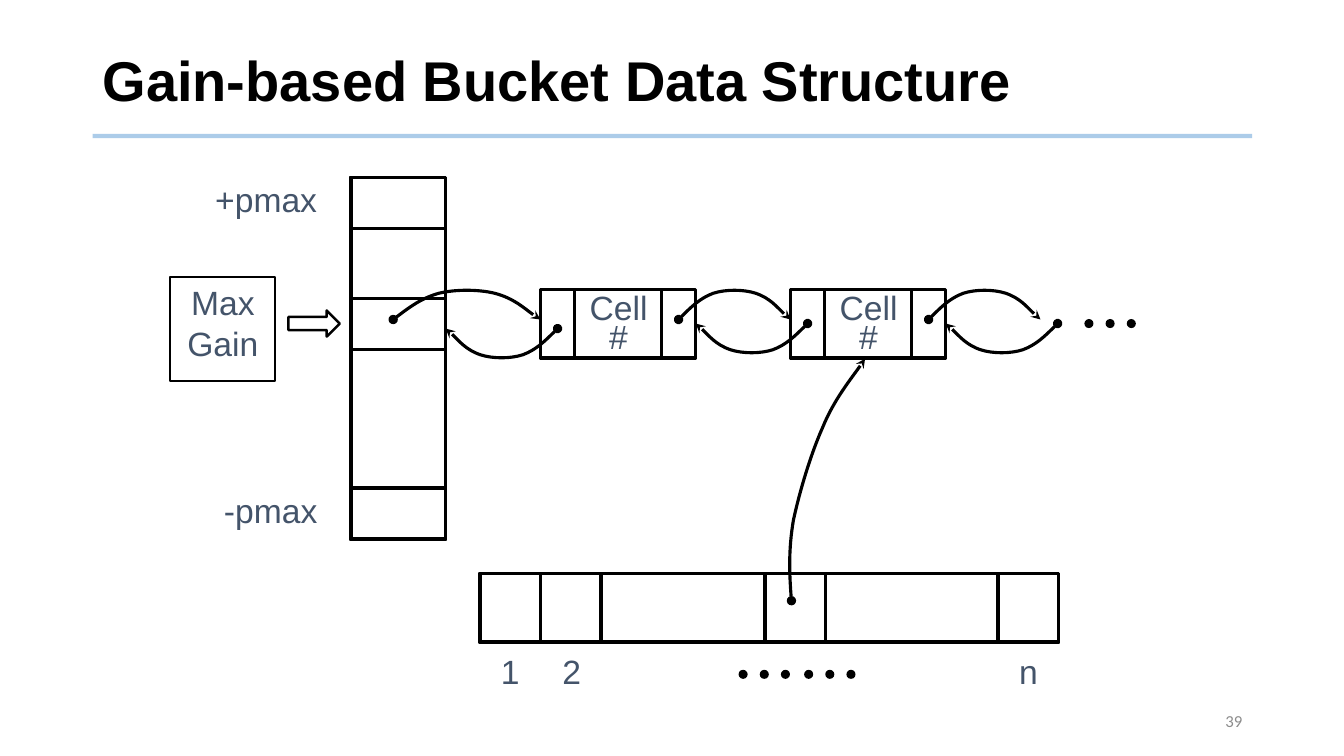
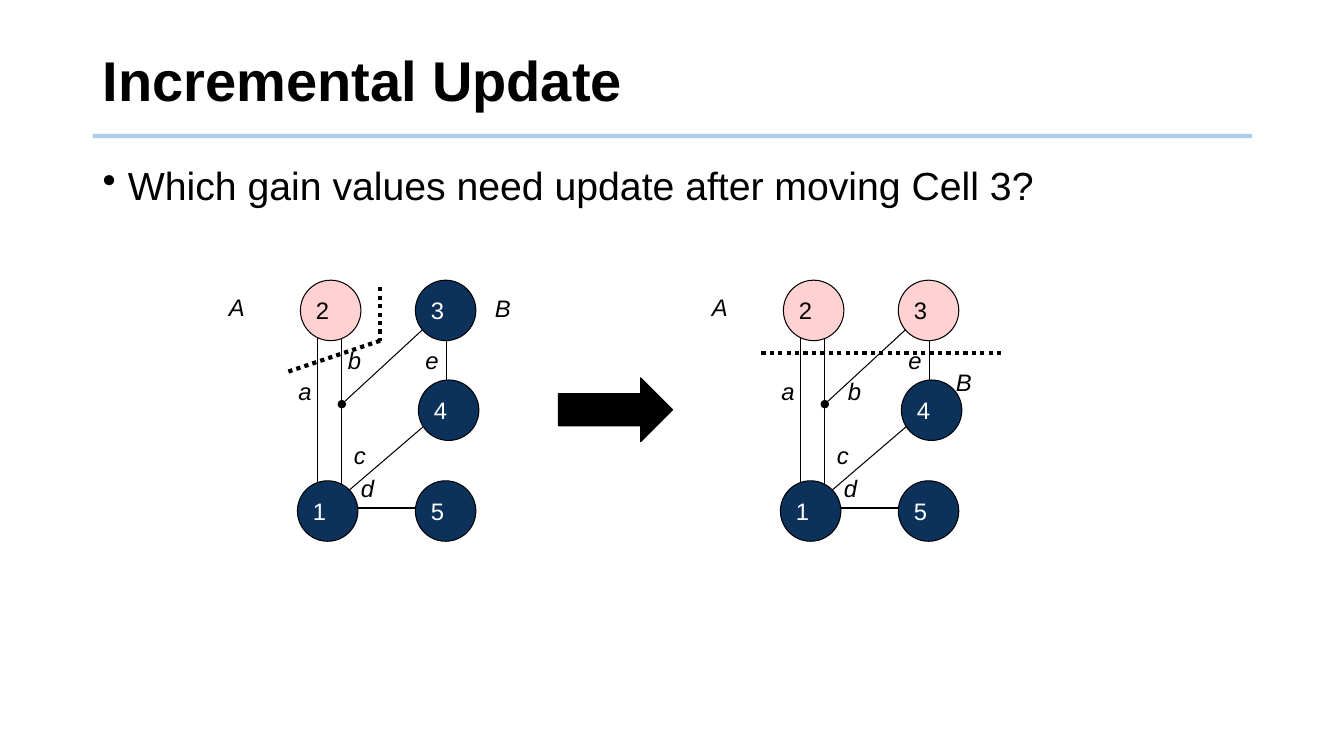
from dataclasses import dataclass
from typing import Any, Optional

from pptx import Presentation
from pptx.dml.color import RGBColor
from pptx.enum.dml import MSO_LINE
from pptx.enum.shapes import MSO_CONNECTOR, MSO_SHAPE
from pptx.enum.text import MSO_ANCHOR, PP_ALIGN
from pptx.oxml.ns import qn
from pptx.oxml.xmlchemy import OxmlElement
from pptx.util import Inches, Pt

RECTANGLE, ELLIPSE = MSO_SHAPE.RECTANGLE, MSO_SHAPE.OVAL
RIGHT_ARROW = MSO_SHAPE.RIGHT_ARROW
STRAIGHT = MSO_CONNECTOR.STRAIGHT
DOTTED = MSO_LINE.ROUND_DOT
TOP, MIDDLE = MSO_ANCHOR.TOP, MSO_ANCHOR.MIDDLE
LEFT, CENTER, RIGHT = PP_ALIGN.LEFT, PP_ALIGN.CENTER, PP_ALIGN.RIGHT

BLACK, WHITE = "000000", "FFFFFF"
SLATE, GRAY, RULE_BLUE = "44546A", "8C8C8C", "5B9BD5"
NAVY, PINK = "0C325C", "FFD1D1"

TITLE = {"name": "Arial", "size": Pt(40), "bold": True, "color": BLACK}
BODY = {"name": "Arial", "size": Pt(28), "color": BLACK}
DIAGRAM = {"name": "Arial", "size": Pt(24), "color": SLATE}
PAGE_NUMBER = {"name": "Calibri", "size": Pt(12), "color": GRAY}
NODE = {"name": "Arial", "size": Pt(17)}
EDGE_NAME = {**NODE, "italic": True, "color": BLACK}

Point = tuple[float, float]
Box = tuple[float, float, float, float]

BULLET_INDENT = 0.25
DOT_SIZE = 0.09
NODE_SIZE = 0.6
CELL_PITCH = 2.48
GRAPH_PITCH = 4.79

# Fractions of the width and lifts in inches along a pointer arc.
ARC = [(0, 0), (0.1, 0.11), (0.19, 0.21), (0.31, 0.26), (0.42, 0.3),
       (0.58, 0.3), (0.69, 0.26), (0.82, 0.21), (0.95, 0.04), (1, 0)]


@dataclass(frozen=True)
class Edge:
    start: Point
    end: Point
    head: Optional[str] = None


@dataclass(frozen=True)
class Node:
    number: str
    left: float
    top: float


@dataclass(frozen=True)
class Label:
    text: str
    left: float
    top: float


EDGES = [
    Edge((3.39, 4.01), (4.42, 3.06), "oval"),
    Edge((3.39, 3.22), (3.39, 5.04)),
    Edge((4.43, 3.02), (4.43, 4.01)),
    Edge((3.15, 3.06), (3.15, 4.89)),
    Edge((4.4, 4.06), (3.35, 4.96)),
    Edge((3.33, 5.04), (4.52, 5.04)),
]
NODES = [
    Node("1", 2.95, 4.77),
    Node("3", 4.12, 2.78),
    Node("4", 4.15, 3.77),
    Node("2", 2.98, 2.78),
    Node("5", 4.12, 4.77),
]
LABELS = [
    Label("A", 2.16, 2.85),
    Label("a", 2.85, 3.69),
    Label("c", 3.4, 4.32),
    Label("d", 3.47, 4.65),
    Label("e", 4.11, 3.38),
]


def color(value: str) -> RGBColor:
    return RGBColor.from_string(value)


def write(shape, text: str, style: dict[str, Any], align=LEFT, anchor=TOP,
          spacing: float = 1.0, wrap: bool = True, bullet: bool = False) -> None:
    """Fill a shape with one paragraph per line of text."""
    frame = shape.text_frame
    frame.word_wrap = wrap
    frame.vertical_anchor = anchor
    for index, line in enumerate(text.split("\n")):
        paragraph = frame.add_paragraph() if index else frame.paragraphs[0]
        paragraph.alignment = align
        paragraph.line_spacing = spacing
        if bullet:
            properties = paragraph._p.get_or_add_pPr()
            properties.set("marL", str(Inches(BULLET_INDENT)))
            properties.set("indent", str(-Inches(BULLET_INDENT)))
            mark = OxmlElement("a:buChar")
            mark.set("char", "•")
            properties.append(mark)
        run = paragraph.add_run()
        run.text = line
        for name, value in style.items():
            if name == "color":
                run.font.color.rgb = color(value)
            else:
                setattr(run.font, name, value)


def add_text(slide, box: Box, text: str, style: dict[str, Any], **layout):
    shape = slide.shapes.add_textbox(*map(Inches, box))
    write(shape, text, style, **layout)
    return shape


def style_line(shape, width: float, line_color: str = BLACK, dash=None,
               head: Optional[str] = None, tail: Optional[str] = None) -> None:
    line = shape.line
    line.color.rgb = color(line_color)
    line.width = Pt(width)
    if dash is not None:
        line.dash_style = dash
    for tag, kind in (("a:headEnd", head), ("a:tailEnd", tail)):
        if kind:
            end = OxmlElement(tag)
            end.set("type", kind)
            line._get_or_add_ln().append(end)


def add_line(slide, start: Point, end: Point, width: float, **line_style):
    connector = slide.shapes.add_connector(STRAIGHT, *map(Inches, (*start, *end)))
    style_line(connector, width, **line_style)
    connector._element.spPr.append(OxmlElement("a:effectLst"))
    return connector


def add_preset(slide, preset, box: Box, width: float, fill: Optional[str] = None):
    shape = slide.shapes.add_shape(preset, *map(Inches, box))
    shape.shadow.inherit = False
    if fill:
        shape.fill.solid()
        shape.fill.fore_color.rgb = color(fill)
    else:
        shape.fill.background()
    style_line(shape, width)
    return shape


def add_curve(slide, points: list[Point]) -> None:
    """Draw a pointer through cubic segments: a start, then three points each."""
    start, *rest = [(Inches(x), Inches(y)) for x, y in points]
    builder = slide.shapes.build_freeform(*start)
    builder.add_line_segments(rest, close=False)
    shape = builder.convert_to_shape()
    outline = shape._element.find(".//" + qn("a:path"))
    segments = outline.findall(qn("a:lnTo"))
    for first in range(0, len(segments), 3):
        curve = OxmlElement("a:cubicBezTo")
        for segment in segments[first:first + 3]:
            curve.append(segment[0])
            outline.remove(segment)
        outline.append(curve)
    shape.shadow.inherit = False
    shape.fill.background()
    style_line(shape, 2.25, head="oval", tail="stealth")


def add_arc(slide, left: float, top: float, width: float) -> None:
    """Arch over to the right, or under to the left when width is negative."""
    side = -1 if width > 0 else 1
    add_curve(slide, [(left + width * x, top + side * lift) for x, lift in ARC])


def add_dots(slide, centers: list[float], middle: float) -> None:
    for center in centers:
        box = (center - DOT_SIZE / 2, middle - DOT_SIZE / 2, DOT_SIZE, DOT_SIZE)
        dot = add_preset(slide, ELLIPSE, box, 0.25, BLACK)
        dot.line.fill.background()


def add_titled_slide(presentation, title: str):
    slide = presentation.slides.add_slide(presentation.slide_layouts[6])
    rule = add_line(slide, (0.92, 1.35), (12.42, 1.35), 3, line_color=RULE_BLUE)
    alpha = OxmlElement("a:alpha")
    alpha.set("val", "50000")
    rule._element.find(".//" + qn("a:srgbClr")).append(alpha)
    add_text(slide, (0.92, 0.28, 11.5, 1.1), title, TITLE, anchor=MIDDLE, spacing=0.9)
    return slide


def build_bucket_slide(presentation) -> None:
    slide = add_titled_slide(presentation, "Gain-based Bucket Data Structure")

    add_preset(slide, RECTANGLE, (3.48, 1.76, 0.94, 3.59), 2.5)
    for top in (1.76, 2.96, 4.84):
        add_preset(slide, RECTANGLE, (3.48, top, 0.94, 0.51), 2.5)

    add_preset(slide, RECTANGLE, (4.76, 5.69, 5.74, 0.68), 2.5)
    for left in (4.76, 5.36, 7.59, 9.9):
        add_preset(slide, RECTANGLE, (left, 5.69, 0.6, 0.68), 2.5)

    for left in (5.36, 5.36 + CELL_PITCH):
        add_preset(slide, RECTANGLE, (left, 2.87, 1.54, 0.68), 2.5)
        add_preset(slide, RECTANGLE, (left + 0.34, 2.87, 0.86, 0.68), 2.5)
        add_text(slide, (left + 0.34, 2.91, 0.87, 0.74), "Cell\n#", DIAGRAM,
                 align=CENTER, spacing=0.7, wrap=False)
        add_arc(slide, left + 1.37, 3.17, 1.11)
        add_arc(slide, left + 0.17 + CELL_PITCH, 3.21, -1.11)
    add_arc(slide, 3.9, 3.17, 1.46)
    add_arc(slide, 5.53, 3.26, -1.11)
    add_curve(slide, [(7.85, 5.96), (7.83, 5.71), (7.82, 5.45), (7.87, 5.16),
                      (7.93, 4.88), (8.04, 4.51), (8.16, 4.24),
                      (8.27, 3.97), (8.51, 3.67), (8.58, 3.56)])
    add_dots(slide, [10.8, 11.01, 11.22], 3.21)
    add_dots(slide, [7.37, 7.58, 7.79, 8.02, 8.23, 8.44], 6.69)

    max_gain = add_preset(slide, RECTANGLE, (1.69, 2.75, 1.04, 1.03), 1.5)
    write(max_gain, "Max\nGain", DIAGRAM, align=CENTER, wrap=False)
    add_preset(slide, RIGHT_ARROW, (2.86, 3.08, 0.51, 0.26), 1.75)
    for text, left, top, width in (
        ("+pmax", 1.96, 1.73, 1.36),
        ("-pmax", 2.05, 4.81, 1.27),
        ("1", 4.84, 6.41, 0.44),
        ("2", 5.45, 6.41, 0.44),
        ("n", 9.98, 6.41, 0.44),
    ):
        add_text(slide, (left, top, width, 0.56), text, DIAGRAM,
                 align=CENTER, wrap=False)
    add_text(slide, (9.42, 6.95, 3, 0.4), "39", PAGE_NUMBER,
             align=RIGHT, anchor=MIDDLE)


def add_graph(slide, offset: float, upper_nodes: str, moved_labels: list[Label],
              cut: list[Point]) -> None:
    """Draw the five-cell graph with its partition cut, shifted to the right."""
    for edge in EDGES:
        (start_x, start_y), (end_x, end_y) = edge.start, edge.end
        add_line(slide, (start_x + offset, start_y), (end_x + offset, end_y),
                 0.75, head=edge.head)
    for node in NODES:
        fill, ink = (PINK, BLACK) if node.number in upper_nodes else (NAVY, WHITE)
        box = (node.left + offset, node.top, NODE_SIZE, NODE_SIZE)
        shape = add_preset(slide, ELLIPSE, box, 0.75, fill)
        insets = {"margin_left": 0, "margin_right": 0.16,
                  "margin_top": 0, "margin_bottom": 0}
        for name, value in insets.items():
            setattr(shape.text_frame, name, Inches(value))
        write(shape, node.number, {**NODE, "color": ink}, align=CENTER, anchor=MIDDLE)
    for label in LABELS + moved_labels:
        shape = add_text(slide, (label.left + offset, label.top, 0.6, 0.4),
                         label.text, EDGE_NAME)
        shape.text_frame.margin_left = Inches(0.11)
    for start, end in zip(cut, cut[1:]):
        add_line(slide, start, end, 3, dash=DOTTED)


def build_update_slide(presentation) -> None:
    slide = add_titled_slide(presentation, "Incremental Update")
    add_text(slide, (0.92, 1.6, 11.5, 5.15),
             "Which gain values need update after moving Cell 3?", BODY,
             spacing=0.9, bullet=True)
    add_graph(slide, 0, "2", [Label("B", 4.8, 2.86), Label("b", 3.34, 3.38)],
              [(3.77, 2.85), (3.77, 3.38), (2.85, 3.69)])
    add_graph(slide, GRAPH_PITCH, "23", [Label("B", 4.58, 3.6), Label("b", 3.51, 3.69)],
              [(9.93, 3.5), (7.53, 3.5)])
    add_preset(slide, RIGHT_ARROW, (5.54, 3.75, 1.13, 0.63), 1, BLACK)


def main() -> None:
    presentation = Presentation()
    presentation.slide_width = Inches(13.33)
    presentation.slide_height = Inches(7.5)
    build_bucket_slide(presentation)
    build_update_slide(presentation)
    presentation.save("out.pptx")


if __name__ == "__main__":
    main()
